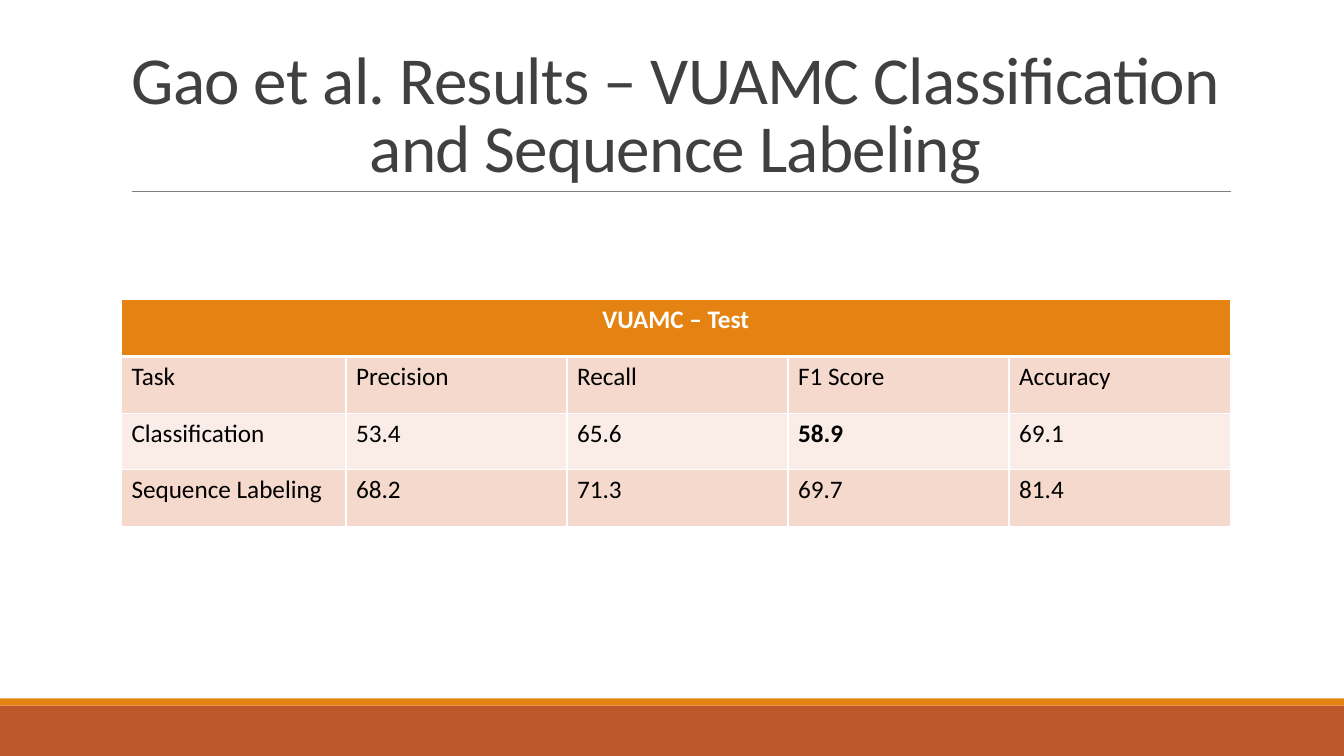
from lxml.etree import SubElement
from pptx import Presentation
from pptx.dml.color import RGBColor
from pptx.enum.shapes import MSO_CONNECTOR as Connector, MSO_SHAPE as Shape
from pptx.enum.text import MSO_ANCHOR as Anchor, PP_ALIGN as Align
from pptx.oxml import parse_xml
from pptx.oxml.ns import nsdecls, qn
from pptx.util import Cm, Pt

WIDTH, HEIGHT = 33.87, 19.05
ORANGE, RUST, WHITE = "E48312", "BD582C", "FFFFFF"
BANDS = ("F5D9CC", "FAEDE7")
HEADING = "VUAMC – Test"
RESULTS = [
    ("Task", "Precision", "Recall", "F1 Score", "Accuracy"),
    ("Classification", "53.4", "65.6", "58.9", "69.1"),
    ("Sequence Labeling", "68.2", "71.3", "69.7", "81.4"),
]
BEST_SCORE = "58.9"


def color(hex_code):
    return RGBColor.from_string(hex_code)


def write(frame, text, size=18, ink="000000", bold=False, align=Align.LEFT,
          line_spacing=None, tracking=None):
    """Fill a text frame; tracking is in hundredths of a point."""
    paragraph = frame.paragraphs[0]
    paragraph.alignment = align
    if line_spacing:
        paragraph.line_spacing = line_spacing
    run = paragraph.add_run()
    run.text = text
    run.font.name = "Calibri"
    run.font.size = Pt(size)
    run.font.bold = bold
    run.font.color.rgb = color(ink)
    if tracking:
        run.font._element.set("spc", str(tracking))


def add_borders(cell, top=1, bottom=1):
    """Draw white cell edges; widths are in points."""
    edges = {"lnL": 1, "lnR": 1, "lnT": top, "lnB": bottom}
    properties = cell._tc.get_or_add_tcPr()
    for position, (edge, width) in enumerate(edges.items()):
        properties.insert(position, parse_xml(
            f'<a:{edge} {nsdecls("a")} w="{Pt(width)}"><a:solidFill>'
            f'<a:srgbClr val="{WHITE}"/></a:solidFill></a:{edge}>'))


class ResultsSlide:
    def __init__(self, deck):
        self.slide = deck.slides.add_slide(deck.slide_layouts[6])
        self.shapes = self.slide.shapes
        self.slide.background.fill.solid()
        self.slide.background.fill.fore_color.rgb = color(WHITE)

    def bar(self, top, height, fill):
        bar = self.shapes.add_shape(Shape.RECTANGLE, 0, Cm(top), Cm(WIDTH), Cm(height))
        bar.shadow.inherit = False
        bar.fill.solid()
        bar.fill.fore_color.rgb = color(fill)
        bar.line.fill.background()

    def rule(self, left, right, y):
        rule = self.shapes.add_connector(Connector.STRAIGHT, Cm(left), Cm(y), Cm(right), Cm(y))
        rule.line.color.rgb = color("808080")
        rule.line.width = Pt(0.5)
        SubElement(rule._element.spPr, qn("a:effectLst"))

    def title(self, text, left, top, width, height):
        frame = self.shapes.add_textbox(Cm(left), Cm(top), Cm(width), Cm(height)).text_frame
        frame.word_wrap = True
        frame.vertical_anchor = Anchor.BOTTOM
        write(frame, text, size=48, ink="404040", align=Align.CENTER,
              line_spacing=0.85, tracking=-50)

    def table(self, heading, rows, left, top, column_widths, row_height):
        table = self.shapes.add_table(
            len(rows) + 1, len(column_widths), Cm(left), Cm(top),
            Cm(sum(column_widths)), Cm(row_height * (len(rows) + 1))).table
        for column, width in zip(table.columns, column_widths):
            column.width = Cm(width)
        for row in table.rows:
            row.height = Cm(row_height)

        for column in range(len(column_widths)):
            self.cell(table.cell(0, column), ORANGE, bottom=3)
        banner = table.cell(0, 0)
        banner.merge(table.cell(0, len(column_widths) - 1))
        write(banner.text_frame, heading, ink=WHITE, bold=True, align=Align.CENTER)

        for r, values in enumerate(rows):
            for c, value in enumerate(values):
                cell = table.cell(r + 1, c)
                self.cell(cell, BANDS[r % 2], top=1 if r else 3)
                write(cell.text_frame, value, bold=value == BEST_SCORE)

    def cell(self, cell, fill, **borders):
        cell.fill.solid()
        cell.fill.fore_color.rgb = color(fill)
        add_borders(cell, **borders)


def main():
    deck = Presentation()
    deck.slide_width, deck.slide_height = Cm(WIDTH), Cm(HEIGHT)
    page = ResultsSlide(deck)
    page.bar(17.78, 1.27, RUST)
    page.bar(17.6, 0.18, ORANGE)
    page.rule(3.32, 31.01, 4.83)
    page.title("Gao et al. Results – VUAMC Classification and Sequence Labeling",
               3.05, 0.79, 27.94, 4.03)
    page.table(HEADING, RESULTS, 3.06, 7.55, [5.66] + [5.57] * 4, 1.43)
    deck.save("out.pptx")


if __name__ == "__main__":
    main()
